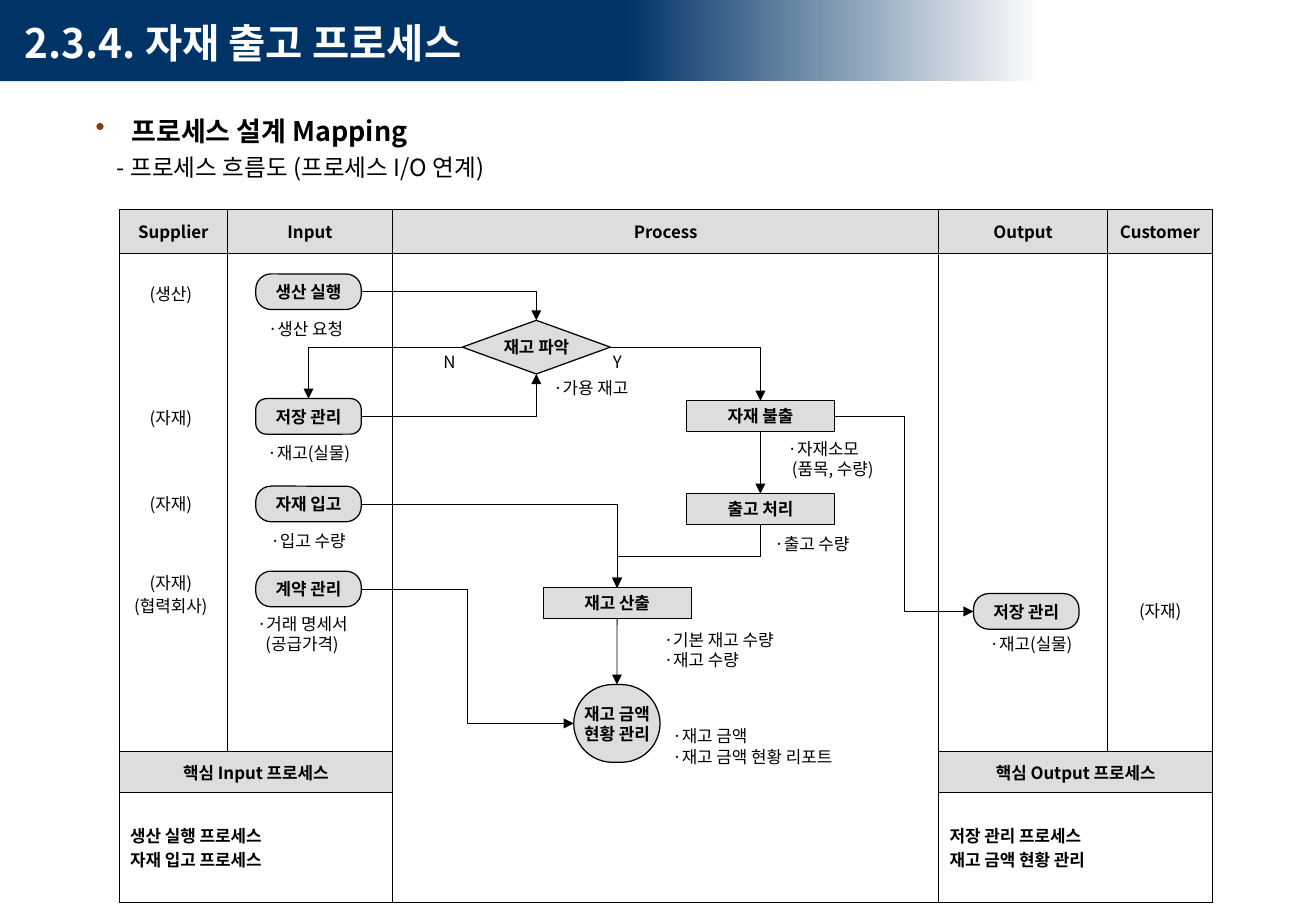
from dataclasses import dataclass
import pptx
import pptx.dml.color
import pptx.enum.shapes
import pptx.enum.text
import pptx.oxml.ns
import pptx.util
from lxml import etree

Pt = pptx.util.Pt
RGBColor = pptx.dml.color.RGBColor
SHAPE = pptx.enum.shapes.MSO_SHAPE
CONNECTOR = pptx.enum.shapes.MSO_CONNECTOR
ALIGN = pptx.enum.text.PP_ALIGN
ANCHOR = pptx.enum.text.MSO_ANCHOR
qn = pptx.oxml.ns.qn

FONT = "Noto Sans CJK KR"
NAVY = RGBColor(0x00, 0x33, 0x66)
WHITE = RGBColor(0xFF, 0xFF, 0xFF)
BLACK = RGBColor(0x00, 0x00, 0x00)
GRAY = RGBColor(0xDD, 0xDD, 0xDD)
BROWN = RGBColor(0x84, 0x3C, 0x0C)
TOP, LEFT, BOTTOM, RIGHT = range(4)

@dataclass
class Node:
    key: str
    text: str
    x: float
    y: float
    w: float = 62.6
    h: float = 21.1
    kind: SHAPE = SHAPE.ROUNDED_RECTANGLE
    adj: float = 0.43
    line: float = 0.75

@dataclass
class Label:
    text: str
    x: float
    y: float
    w: float = 57.2
    h: float = 14.4
    align: ALIGN = ALIGN.CENTER
    second_indent: float = 0

@dataclass
class Link:
    start: str
    start_side: int
    end: str
    end_side: int
    geometry: str

def step(key: str, text: str, x: float, y: float) -> Node:
    return Node(key, text, x, y, 87.8, 18.2, SHAPE.RECTANGLE, line=0.5)

NODES = [
    Node("run", "생산 실행", 151.7, 162.4),
    Node("store", "저장 관리", 151.7, 236.3, adj=0.3),
    Node("receive", "자재 입고", 151.7, 288.2),
    Node("contract", "계약 관리", 151.7, 338.6),
    Node("stored", "저장 관리", 577.4, 351.9),
    step("release", "자재 불출", 407.1, 237.6),
    step("issue", "출고 처리", 407.1, 292.6),
    step("count", "재고 산출", 322.1, 348.4),
    Node("check", "재고 파악", 274.2, 189.9, 87.8, 31.8, SHAPE.DIAMOND),
    Node("amount", "재고 금액\n현황 관리", 340.3, 405.8, 51.2, 46.1, adj=0.5),
]
LABELS = [
    Label("(생산)", 72.7, 166.7),
    Label("(자재)", 72.7, 240.5),
    Label("(자재)", 72.7, 291.3),
    Label("(자재)", 72.7, 338),
    Label("(협력회사)", 72.7, 351.8),
    Label("(자재)", 659.5, 355),
    Label("N", 256.1, 207.7, 20.9, 13.7),
    Label("Y", 355.7, 207.7, 20.9, 13.7),
    Label("·재고(실물)", 148.1, 261.4, 70),
    Label("·재고(실물)", 576.5, 374.6, 70),
    Label("·가용 재고", 321.8, 222.5),
    Label("·생산 요청", 151.9, 187.2, 57.6, 15.1, ALIGN.LEFT),
    Label("·입고 수량", 153.4, 310.3, 57.6, 20.9, ALIGN.LEFT),
    Label("·출고 수량", 452.2, 311.8, 57.6, 20.9, ALIGN.LEFT),
    Label("·거래 명세서\n(공급가격)", 145.4, 360.9, 72, 29.5, ALIGN.LEFT, 5),
    Label("·자재소모\n(품목, 수량)", 460.1, 261.4, 76, 20.9, ALIGN.LEFT, 2.5),
    Label("·기본 재고 수량\n·재고 수량", 386.6, 370.8, 87.8, 28.8, ALIGN.LEFT),
    Label("·재고 금액\n·재고 금액 현황 리포트", 391.7, 429.1, 113, 26.6, ALIGN.LEFT),
]
LINKS = [
    Link("run", RIGHT, "check", TOP, "bentConnector2"),
    Link("check", LEFT, "store", TOP, "bentConnector2"),
    Link("store", RIGHT, "check", BOTTOM, "bentConnector2"),
    Link("check", RIGHT, "release", TOP, "bentConnector2"),
    Link("receive", RIGHT, "count", TOP, "bentConnector2"),
    Link("release", RIGHT, "stored", LEFT, "bentConnector3"),
    Link("contract", RIGHT, "amount", LEFT, "bentConnector3"),
    Link("issue", BOTTOM, "count", TOP, "bentConnector3"),
    Link("release", BOTTOM, "issue", TOP, "line"),
    Link("count", BOTTOM, "amount", TOP, "line"),
]
CELLS = {(0, 0): "Supplier", (0, 1): "Input", (0, 2): "Process", (0, 3): "Output",
         (0, 4): "Customer", (2, 0): "핵심 Input 프로세스", (2, 3): "핵심 Output 프로세스",
         (3, 0): "생산 실행 프로세스\n자재 입고 프로세스",
         (3, 3): "저장 관리 프로세스\n재고 금액 현황 관리"}

def fill_text(tf, text: str, size: float = 10, bold: bool = False, color: RGBColor = BLACK,
              align: ALIGN = ALIGN.CENTER) -> None:
    tf.text = text
    for p in tf.paragraphs:
        p.alignment = align
        for r in p.runs:
            r.font.size, r.font.bold, r.font.name = Pt(size), bold, FONT
            r.font.color.rgb = color
            etree.SubElement(r._r.get_or_add_rPr(), qn("a:ea"), typeface=FONT)

def set_margins(tf, left: float, right: float, y: float) -> None:
    tf.margin_left, tf.margin_right = Pt(left), Pt(right)
    tf.margin_top = tf.margin_bottom = Pt(y)

def add_block(s, kind: SHAPE, x: float, y: float, w: float, h: float):
    sp = s.shapes.add_shape(kind, Pt(x), Pt(y), Pt(w), Pt(h))
    sp.shadow.inherit = False
    sp.line.fill.background()
    return sp

def add_node(s, node: Node):
    sp = add_block(s, node.kind, node.x, node.y, node.w, node.h)
    if node.kind == SHAPE.ROUNDED_RECTANGLE:
        sp.adjustments[0] = node.adj
    sp.fill.solid()
    sp.fill.fore_color.rgb = GRAY
    sp.line.color.rgb, sp.line.width = BLACK, Pt(node.line)
    tf = sp.text_frame
    fill_text(tf, node.text, bold=True)
    tf.word_wrap, tf.vertical_anchor = False, ANCHOR.MIDDLE
    set_margins(tf, 0, 0, 0)
    return sp

def add_label(s, label: Label) -> None:
    tf = s.shapes.add_textbox(Pt(label.x), Pt(label.y), Pt(label.w), Pt(label.h)).text_frame
    fill_text(tf, label.text, align=label.align)
    tf.word_wrap, tf.vertical_anchor = False, ANCHOR.MIDDLE
    set_margins(tf, 7.2 if label.align == ALIGN.LEFT else 0, 0, 0)
    if label.second_indent:
        tf.paragraphs[1]._p.get_or_add_pPr().set("marL", str(Pt(label.second_indent)))

def side_point(sp, side: int) -> tuple[int, int]:
    fx, fy = [(0.5, 0), (0, 0.5), (0.5, 1), (1, 0.5)][side]
    return int(sp.left + sp.width * fx), int(sp.top + sp.height * fy)

def add_link(s, link: Link, nodes: dict) -> None:
    a, b = nodes[link.start], nodes[link.end]
    (x1, y1), (x2, y2) = side_point(a, link.start_side), side_point(b, link.end_side)
    straight = link.geometry == "line"
    turned = not straight and link.start_side == BOTTOM
    if turned:  # a quarter turn makes the elbow leave downwards
        cx, cy, dx, dy = (x1 + x2) // 2, (y1 + y2) // 2, abs(x2 - x1) // 2, (y2 - y1) // 2
        x1, y1, x2, y2 = cx - dy, cy - dx, cx + dy, cy + dx
    c = s.shapes.add_connector(CONNECTOR.STRAIGHT if straight else CONNECTOR.ELBOW, x1, y1, x2, y2)
    c.line.color.rgb, c.line.width = BLACK, Pt(0.5)
    spPr = c._element.spPr
    if straight:
        c.begin_connect(a, link.start_side)
        c.end_connect(b, link.end_side)
    else:
        spPr.find(qn("a:prstGeom")).set("prst", link.geometry)
    if turned:
        spPr.find(qn("a:xfrm")).set("rot", "5400000")
    etree.SubElement(spPr.find(qn("a:ln")), qn("a:tailEnd"), type="triangle")
    etree.SubElement(spPr, qn("a:effectLst"))

def add_header(s) -> None:
    fade = add_block(s, SHAPE.RECTANGLE, 370.1, 0, 247.7, 48.2)
    fade.fill.gradient()
    fade.fill.gradient_angle = 0
    for stop, color in zip(fade.fill.gradient_stops, (NAVY, WHITE)):
        stop.color.rgb = color
    solid = add_block(s, SHAPE.RECTANGLE, 0, 0, 370.1, 48.2)
    solid.fill.solid()
    solid.fill.fore_color.rgb = NAVY
    title = s.shapes.title
    s.shapes._spTree.append(title._element)  # in front of the bands
    title.left, title.top, title.width, title.height = Pt(2.2), Pt(7.2), Pt(778), Pt(36)
    tf = title.text_frame
    fill_text(tf, "2.3.4. 자재 출고 프로세스", 24, True, WHITE, ALIGN.LEFT)
    tf.auto_size, tf.vertical_anchor = pptx.enum.text.MSO_AUTO_SIZE.NONE, ANCHOR.TOP
    set_margins(tf, 12.5, 7.2, 3.6)

def add_intro(s) -> None:
    tf = s.shapes.add_textbox(Pt(49.7), Pt(60.5), Pt(652.3), Pt(50.4)).text_frame
    tf.word_wrap = True
    fill_text(tf, "프로세스 설계 Mapping\n- 프로세스 흐름도 (프로세스 I/O 연계)", 16, True, align=ALIGN.JUSTIFY)
    for p, indent in zip(tf.paragraphs, (21.4, 12.5)):
        p.line_spacing = 1.2
        p._p.get_or_add_pPr().set("marL", str(Pt(indent)))
    heading, detail = tf.paragraphs
    detail.runs[0].font.size, detail.runs[0].font.bold = Pt(14), False
    pPr = heading._p.get_or_add_pPr()
    pPr.set("indent", str(-Pt(21.4)))
    etree.SubElement(etree.SubElement(pPr, qn("a:buClr")), qn("a:srgbClr"), val=str(BROWN))
    etree.SubElement(pPr, qn("a:buChar"), char="•")

def format_cell(cell, color: RGBColor, margin: float) -> None:
    for edge in ("a:lnL", "a:lnR", "a:lnT", "a:lnB"):
        ln = etree.SubElement(cell._tc.get_or_add_tcPr(), qn(edge), w=str(Pt(0.45)))
        etree.SubElement(etree.SubElement(ln, qn("a:solidFill")), qn("a:srgbClr"), val=str(BLACK))
    cell.fill.solid()
    cell.fill.fore_color.rgb = color
    cell.vertical_anchor = ANCHOR.MIDDLE
    set_margins(cell, margin, margin, 3.6)

def add_grid(s) -> None:
    widths, heights = (64.1, 98, 324, 100, 62.4), (26, 295.4, 24.5, 64.8)
    table = s.shapes.add_table(4, 5, Pt(70.7), Pt(124), Pt(sum(widths)), Pt(sum(heights))).table
    for column, width in zip(table.columns, widths):
        column.width = Pt(width)
    for i, (row, height) in enumerate(zip(table.rows, heights)):
        row.height = Pt(height)
        for cell in row.cells:
            format_cell(cell, GRAY if i in (0, 2) else WHITE, 6.5 if i else 3)
    table.cell(1, 2).merge(table.cell(3, 2))
    for i, j in ((2, 0), (2, 3), (3, 0), (3, 3)):
        table.cell(i, j).merge(table.cell(i, j + 1))
    for (i, j), text in CELLS.items():
        fill_text(table.cell(i, j).text_frame, text, bold=True,
                  align=ALIGN.LEFT if i == 3 else ALIGN.CENTER)

def main() -> None:
    prs = pptx.Presentation()
    prs.slide_width = Pt(780.48)
    prs.slide_height = Pt(540)
    s = prs.slides.add_slide(prs.slide_layouts[5])
    add_header(s)
    add_intro(s)
    add_grid(s)
    # Flow chart
    nodes = {node.key: add_node(s, node) for node in NODES}
    for link in LINKS:
        add_link(s, link, nodes)
    for label in LABELS:
        add_label(s, label)
    prs.save("out.pptx")

if __name__ == "__main__":
    main()
